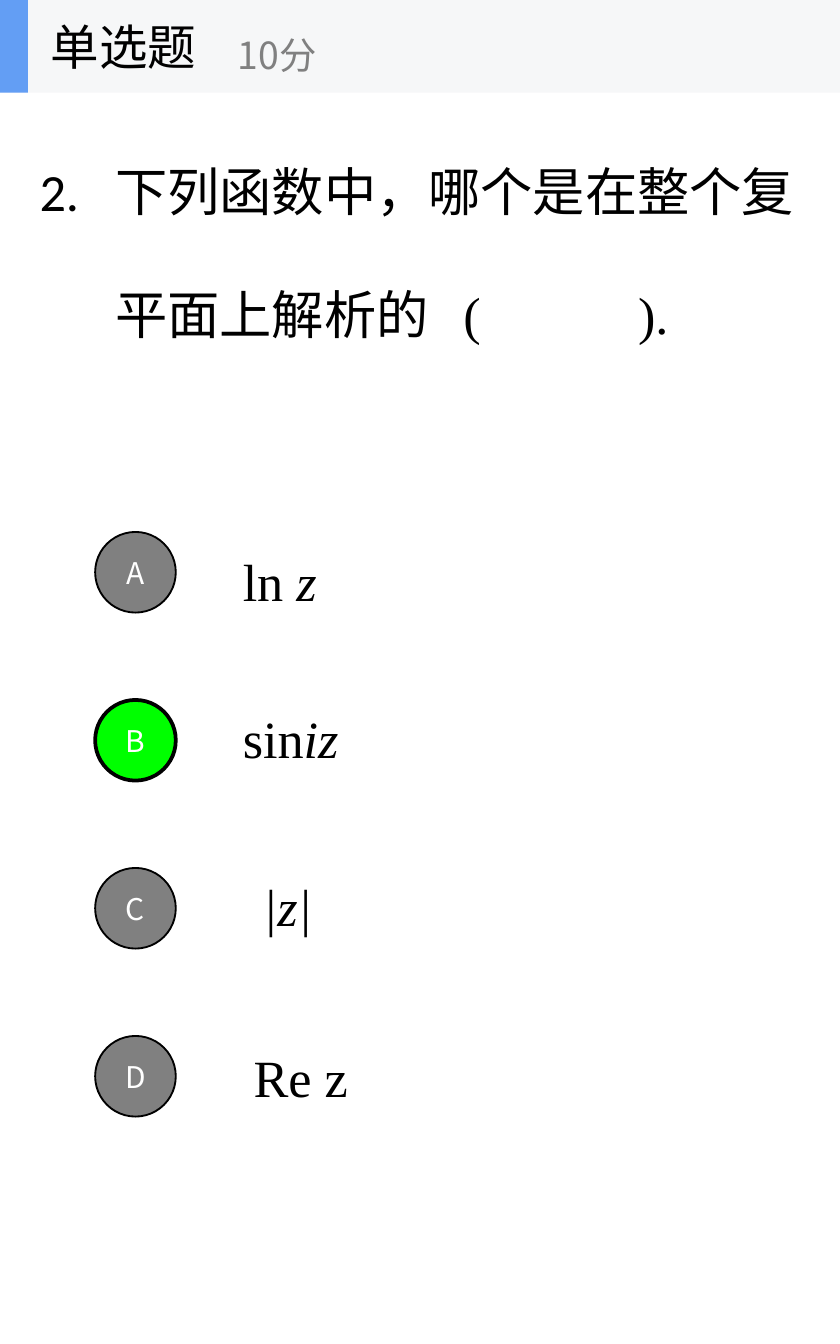
from pptx import Presentation
from pptx.dml.color import RGBColor
from pptx.enum.shapes import MSO_SHAPE
from pptx.enum.text import MSO_ANCHOR, PP_ALIGN
from pptx.oxml.ns import qn
from pptx.util import Pt
from lxml.etree import SubElement

BLACK = RGBColor(0x00, 0x00, 0x00)
WHITE = RGBColor(0xFF, 0xFF, 0xFF)
GRAY = RGBColor(0x80, 0x80, 0x80)
GREEN = RGBColor(0x00, 0xFF, 0x00)
BLUE = RGBColor(0x63, 0x9E, 0xF4)
PALE = RGBColor(0xF6, 0xF7, 0xF8)

SANS = "Noto Sans CJK SC"
SERIF = "Times New Roman"
SLIDE_WIDTH, SLIDE_HEIGHT = 450, 720
BODY = {"name": SERIF, "size": Pt(28)}

# letter, (text, italic) runs, text left and text top relative to the option row
OPTIONS = [
    ("A", [("ln ", False), ("z", True)], 72, 5.8),
    ("B", [("sin", False), ("iz", True)], 72, 0),
    ("C", [("|z|", True)], 82.8, 0),
    ("D", [("Re z", False)], 77.8, 1.4),
]
CORRECT = "B"


def add_run(paragraph, text, color=BLACK, **formats):
    run = paragraph.add_run()
    run.text = text
    for attribute, value in formats.items():
        setattr(run.font, attribute, value)
    run.font.color.rgb = color
    SubElement(run.font._element, qn("a:ea"), typeface=SANS)


def add_text_box(slide, left, top, width, height, **frame_formats):
    box = slide.shapes.add_textbox(Pt(left), Pt(top), Pt(width), Pt(height))
    for attribute, value in ({"word_wrap": True} | frame_formats).items():
        setattr(box.text_frame, attribute, value)
    return box.text_frame


def add_filled_shape(slide, kind, left, top, width, height, fill, line_width=0):
    shape = slide.shapes.add_shape(kind, Pt(left), Pt(top), Pt(width), Pt(height))
    shape.shadow.inherit = False
    shape.fill.solid()
    shape.fill.fore_color.rgb = fill
    if line_width:
        shape.line.color.rgb = BLACK
        shape.line.width = Pt(line_width)
    else:
        shape.line.fill.background()
    return shape


def add_tab_stops(paragraph, positions):
    tab_list = SubElement(paragraph._p.get_or_add_pPr(), qn("a:tabLst"))
    for position in positions:
        SubElement(tab_list, qn("a:tab"), pos=str(Pt(position)), algn="l")


def add_header(slide, left, top, width, height):
    for bar_width, color in ((width, PALE), (15, BLUE)):
        add_filled_shape(slide, MSO_SHAPE.RECTANGLE, left, top, bar_width, height, color)
    labels = [
        ("单选题", 20.2, 0, 150, 26, BLACK),
        ("10分", 120.2, 9, 180, 20, GRAY),
    ]
    for text, offset, drop, label_width, size, color in labels:
        frame = add_text_box(slide, left + offset, top + drop, label_width, height - drop,
                             word_wrap=False, vertical_anchor=MSO_ANCHOR.MIDDLE)
        add_run(frame.paragraphs[0], text, color, name=SANS, size=Pt(size))


def add_question(slide, left, top, width, height):
    number = add_text_box(slide, left, top, 42.5, 49).paragraphs[0]
    number.alignment = PP_ALIGN.CENTER
    add_run(number, "2. ", name="Calibri", size=Pt(28))

    frame = add_text_box(slide, left + 41, top, width - 41, height)
    add_run(frame.paragraphs[0], "下列函数中，哪个是在整个复", **BODY)
    second_line = frame.add_paragraph()
    second_line.space_before = Pt(32)
    add_tab_stops(second_line, (186.5, 280))
    add_run(second_line, "平面上解析的\t(\t).", **BODY)


def add_option(slide, left, top, width, height, option):
    letter, runs, text_left, text_top = option
    is_correct = letter == CORRECT
    circle = add_filled_shape(slide, MSO_SHAPE.OVAL, left, top, height, height,
                              GREEN if is_correct else GRAY, 2 if is_correct else 1)
    circle.text_frame.vertical_anchor = MSO_ANCHOR.MIDDLE
    label = circle.text_frame.paragraphs[0]
    label.alignment = PP_ALIGN.CENTER
    add_run(label, letter, WHITE, name=SANS, size=Pt(16))

    frame = add_text_box(slide, left + text_left, top + text_top, width - text_left, 41)
    for text, italic in runs:
        add_run(frame.paragraphs[0], text, italic=italic, **BODY)


def main():
    presentation = Presentation()
    presentation.slide_width = Pt(SLIDE_WIDTH)
    presentation.slide_height = Pt(SLIDE_HEIGHT)
    slide = presentation.slides.add_slide(presentation.slide_layouts[6])

    add_question(slide, 13.7, 82, SLIDE_WIDTH - 13.7, 142)
    for index, option in enumerate(OPTIONS):
        add_option(slide, 51, 285 + 90 * index, SLIDE_WIDTH - 51, 43.2, option)
    add_header(slide, 0, 0, SLIDE_WIDTH, 49.7)

    presentation.save("out.pptx")


if __name__ == "__main__":
    main()
